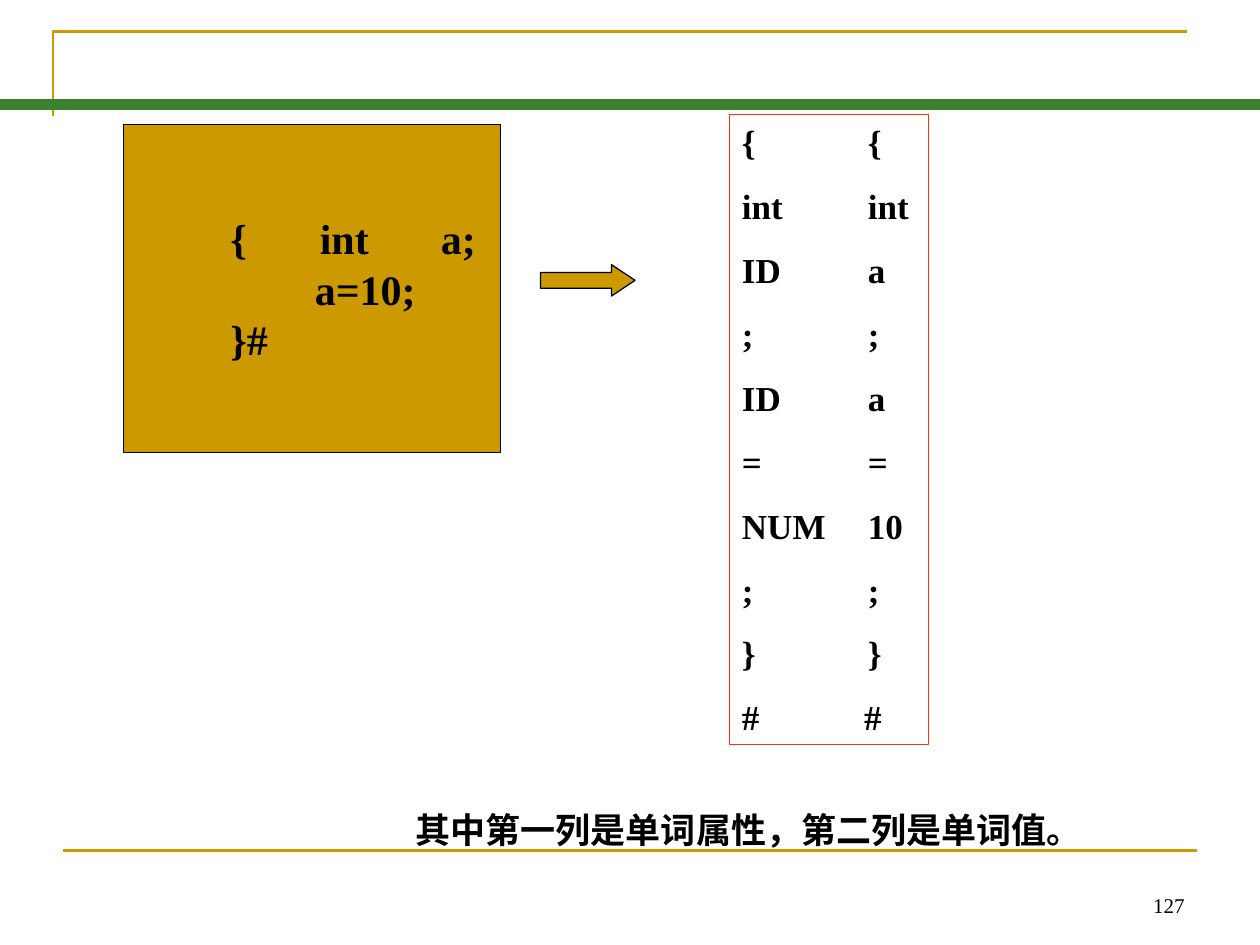
import pptx
import pptx.dml.color
import pptx.enum.shapes
import pptx.enum.text
import pptx.oxml.ns
import pptx.util
from pptx.util import Inches

COLORS = {"gold": "CC9900", "green": "3B812F", "red": "FF3300", "ink": "000000"}
ALIGN = pptx.enum.text.PP_ALIGN
ANCHOR = pptx.enum.text.MSO_ANCHOR
PRESET = pptx.enum.shapes.MSO_SHAPE
TOKENS = [
    ("{", "{"), ("int", "int"), ("ID", "a"), (";", ";"), ("ID", "a"),
    ("=", "="), ("NUM", "10"), (";", ";"), ("}", "}"), ("#", "#"),
]


def color(name):
    """Return a named colour."""
    return pptx.dml.color.RGBColor.from_string(COLORS[name])


def add_element(parent, tag, **attributes):
    """Append an XML element to its parent and return it."""
    element = parent.makeelement(pptx.oxml.ns.qn(tag), attributes)
    parent.append(element)
    return element


def set_line(item, name, width):
    """Colour a line and set its width in points."""
    item.line.color.rgb = color(name)
    item.line.width = pptx.util.Pt(width)


def add_rule(page, left, top, right, name, width):
    """Draw a horizontal rule."""
    rule = page.shapes.add_connector(
        pptx.enum.shapes.MSO_CONNECTOR.STRAIGHT,
        Inches(left), Inches(top), Inches(right), Inches(top))
    set_line(rule, name, width)
    add_element(rule._element.spPr, "a:effectLst")


def add_panel(page, box, preset, line, fill=None):
    """Add a preset shape with a plain fill and outline."""
    panel = page.shapes.add_shape(preset, *map(Inches, box))
    panel.shadow.inherit = False
    if fill:
        panel.fill.solid()
        panel.fill.fore_color.rgb = color(fill)
    else:
        panel.fill.background()
    set_line(panel, line, 0.75)
    return panel


def write_lines(shape, lines, size, bold=True, gap=0, align=ALIGN.LEFT,
                anchor=ANCHOR.TOP):
    """Write (text, tab stops) lines into a shape."""
    frame = shape.text_frame
    frame.word_wrap = True
    frame.vertical_anchor = anchor
    formats = {"name": "Times New Roman", "size": pptx.util.Pt(size), "bold": bold}
    for index, (text, stops) in enumerate(lines):
        para = frame.add_paragraph() if index else frame.paragraphs[0]
        para.alignment = align
        if index:
            para.space_before = pptx.util.Pt(gap)
        if stops:
            tabs = add_element(para._p.get_or_add_pPr(), "a:tabLst")
            for stop in stops:
                add_element(tabs, "a:tab", pos=str(Inches(stop)), algn="l")
        span = para.add_run()
        span.text = text
        for key, value in formats.items():
            setattr(span.font, key, value)
        span.font.color.rgb = color("ink")


def add_frame(page, left, top, width, height):
    """Draw the corner line, header bar and footer rule."""
    builder = page.shapes.build_freeform(Inches(left), Inches(top + height))
    builder.add_line_segments(
        [(Inches(left), Inches(top)), (Inches(left + width), Inches(top))], close=False)
    corner = builder.convert_to_shape()
    corner.shadow.inherit = False
    corner.fill.background()
    set_line(corner, "gold", 1.5)
    add_rule(page, 0.5, 6.75, 9.5, "gold", 1.5)
    add_rule(page, 0, 0.83, 10, "green", 6)


def add_source_code(page, box):
    """Show the program text in a filled panel."""
    panel = add_panel(page, box, PRESET.RECTANGLE, "ink", "gold")
    lines = [("\t{\tint\ta;", (0.75, 1.46, 2.42)),
             ("\t\ta=10;", (0.75, 1.42)),
             ("\t}#", (0.75,))]
    write_lines(panel, lines, 24, anchor=ANCHOR.MIDDLE)


def add_arrow(page, box):
    """Point from the program to its tokens."""
    arrow = add_panel(page, box, PRESET.RIGHT_ARROW, "ink", "gold")
    arrow.adjustments[0] = 0.5
    arrow.adjustments[1] = 0.75


def add_token_list(page, box):
    """List each token's attribute and value in two columns."""
    panel = add_panel(page, box, PRESET.RECTANGLE, "red")
    lines = [(f"{kind}\t{value}", (0.97 if kind == "#" else 1,))
             for kind, value in TOKENS]
    write_lines(panel, lines, 20, gap=12.5)


def add_label(page, box, text, size, bold, align):
    """Add a single line of text at the bottom of a box."""
    label = page.shapes.add_textbox(*map(Inches, box))
    write_lines(label, [(text, ())], size, bold, align=align, anchor=ANCHOR.BOTTOM)


def main():
    """Build and save the slide."""
    deck = pptx.Presentation()
    deck.slide_width, deck.slide_height = Inches(10), Inches(7.5)
    page = deck.slides.add_slide(deck.slide_layouts[6])
    add_frame(page, 0.42, 0.25, 9, 0.67)
    add_label(page, (3.2, 5.86, 7.42, 0.94), "其中第一列是单词属性，第二列是单词值。",
              20, True, ALIGN.LEFT)
    add_token_list(page, (5.79, 0.91, 1.58, 5))
    add_arrow(page, (4.29, 2.1, 0.75, 0.25))
    add_source_code(page, (0.98, 0.99, 2.99, 2.6))
    add_label(page, (7.17, 6.83, 2.33, 0.5), "127", 12, False, ALIGN.RIGHT)
    deck.save("out.pptx")


if __name__ == "__main__":
    main()
